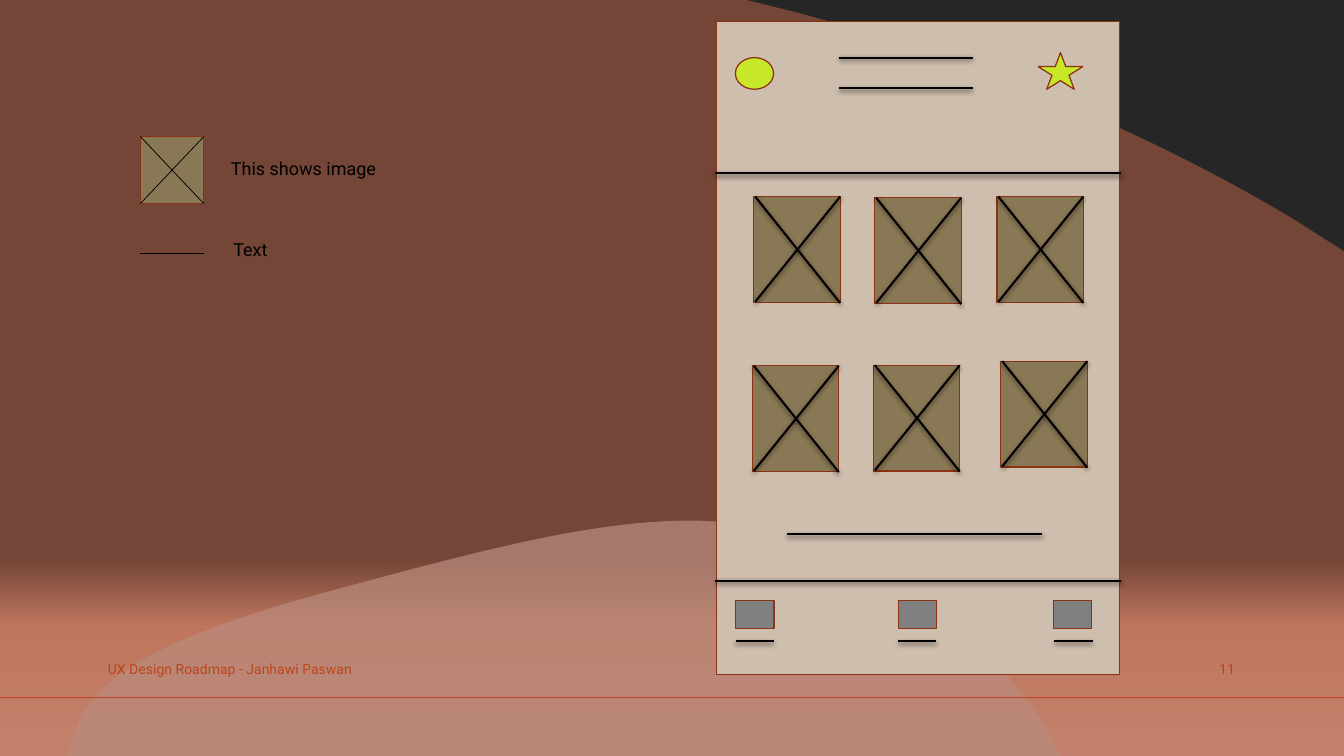
"""Build a wireframe slide with a legend beside a phone screen layout."""
from lxml import etree
from pptx import Presentation
from pptx.dml.color import RGBColor
from pptx.enum.shapes import MSO_CONNECTOR, MSO_SHAPE
from pptx.enum.text import MSO_ANCHOR, PP_ALIGN
from pptx.oxml.ns import qn
from pptx.util import Pt

RECT, OVAL, STAR = MSO_SHAPE.RECTANGLE, MSO_SHAPE.OVAL, MSO_SHAPE.STAR_5_POINT
PROCESS = MSO_SHAPE.FLOWCHART_PROCESS
STRAIGHT = MSO_CONNECTOR.STRAIGHT
TOP, MIDDLE = MSO_ANCHOR.TOP, MSO_ANCHOR.MIDDLE
LEFT, RIGHT = PP_ALIGN.LEFT, PP_ALIGN.RIGHT

BLACK = RGBColor(0x00, 0x00, 0x00)
RUST = RGBColor(0xBC, 0x45, 0x1B)
OUTLINE = RGBColor(0x8B, 0x33, 0x14)
PAPER = RGBColor(0xCE, 0xBE, 0xAD)
OLIVE = RGBColor(0x89, 0x78, 0x55)
LIME = RGBColor(0xC7, 0xE7, 0x29)
GRAY = RGBColor(0x80, 0x80, 0x80)
PALE = RGBColor(0xDA, 0xDA, 0xDA)
CLAY = RGBColor(0xA5, 0x5A, 0x43)

FONT = "Roboto"
WIDTH, HEIGHT = 1344, 756
BASELINE_Y = 697.3
BACKGROUND = [(0, "262626"), (74, "262626"), (83, "EEA58B"), (100, "F4C3B2")]

HILL = [
    [(690.5, 520.6)],
    [(750.2, 521.3), (805.7, 532.8), (861.8, 559.4)],
    [(937.4, 596.9), (986.4, 648.7), (1013.8, 683.3)],
    [(1027.4, 699.8), (1044.7, 722.9), (1057.7, 751)],
    [(1059.8, 756)], [(68.4, 756)], [(69.8, 748.1)],
    [(71.3, 740.9), (73.4, 734.4), (76.3, 727.9)],
    [(93.6, 685.4), (136.1, 643.7), (324.7, 592.6)],
    [(476.6, 551.5), (590.4, 520.6), (690.5, 520.6)],
]
VEIL = [
    [(0, 0)], [(746.6, 0)], [(795.6, 12.2)],
    [(980.6, 61.9), (1150.6, 133.2), (1295.3, 220.3)],
    [(1344, 251.3)], [(1344, 756)], [(0, 756)],
]

SCREEN = (716.4, 21.6, 403.2, 653)
ICONS = [(OVAL, 735.4, 57.6, 38.2, 31.7), (STAR, 1038.2, 52.6, 44.6, 36.7)]
TILE_W, TILE_H = 86.4, 105.8
TILES = [(753.8, 196.6), (874.8, 197.8), (997, 196.6),
         (752.4, 365.8), (873.4, 365.2), (1000.8, 361.2)]
RULES = [(715.4, 1121.2, 173.5), (715.4, 1121.2, 580.6), (839.3, 972.7, 57.6),
         (839.3, 972.7, 88.2), (786.8, 1042.2, 534.2)]
TAB_W, TAB_H, TAB_Y, TAB_RULE_Y = 38.2, 28.1, 600.2, 641.5
TABS = [(735.8, 735.6), (898.6, 898.3), (1053.4, 1054.5)]

LEGEND_X, LEGEND_Y, LEGEND_W, LEGEND_H, LEGEND_RULE_Y = 140.4, 136.6, 63.4, 67, 252.9
LABELS = [("This shows image", (223.9, 154.1, 191.5, 28.8)),
          ("Text", (226.3, 234.7, 89.3, 36.7))]
FOOTERS = [("UX Design Roadmap - Janhawi Paswan", (100.8, 648.7, 735.8, 40.3), LEFT),
           ("11", (1159.2, 648.7, 82.8, 40.3), RIGHT)]


def paint_background(s):
    fill = s.background.fill
    fill.gradient()
    fill.gradient_angle = 270
    stops = s.element.xpath(".//a:gsLst")[0]
    for stop in list(stops):
        stops.remove(stop)
    for pos, color in BACKGROUND:
        stop = etree.SubElement(stops, qn("a:gs"), pos=str(pos * 1000))
        etree.SubElement(stop, qn("a:srgbClr"), val=color)


def bend_sides(sp, steps):
    sides = sp._element.xpath(".//a:lnTo")
    for step in steps[1:]:
        group, sides = sides[:len(step)], sides[len(step):]
        if len(step) == 3:
            curve = etree.Element(qn("a:cubicBezTo"))
            group[0].addprevious(curve)
            for side in group:
                curve.append(side[0])
                side.getparent().remove(side)


def add_outline(s, steps, color, opacity):
    points = [(Pt(x), Pt(y)) for step in steps for x, y in step]
    builder = s.shapes.build_freeform(*points[0], scale=1.0)
    builder.add_line_segments(points[1:], close=True)
    sp = builder.convert_to_shape()
    bend_sides(sp, steps)
    sp.shadow.inherit = False
    sp.line.fill.background()
    sp.fill.solid()
    sp.fill.fore_color.rgb = color
    clr = sp._element.spPr.find(qn("a:solidFill"))[0]
    etree.SubElement(clr, qn("a:alpha"), val=str(opacity * 1000))


def add_box(s, kind, box, color):
    sp = s.shapes.add_shape(kind, *map(Pt, box))
    sp.shadow.inherit = False
    sp.fill.solid()
    sp.fill.fore_color.rgb = color
    sp.line.color.rgb = OUTLINE
    sp.line.width = Pt(1.25)


def add_line(s, x1, y1, x2, y2, color=BLACK, width=2, shadow=True):
    line = s.shapes.add_connector(STRAIGHT, Pt(x1), Pt(y1), Pt(x2), Pt(y2))
    line.line.color.rgb = color
    line.line.width = Pt(width)
    effects = etree.SubElement(line._element.spPr, qn("a:effectLst"))
    if shadow:
        shade = etree.SubElement(effects, qn("a:outerShdw"), blurRad=str(Pt(5)),
                                 dist=str(Pt(2)), dir="5400000", rotWithShape="0")
        clr = etree.SubElement(shade, qn("a:srgbClr"), val=str(BLACK))
        etree.SubElement(clr, qn("a:alpha"), val="60000")


def add_image_mark(s, x, y, w, h, inset=0, drop=0, **line_format):
    add_box(s, RECT, (x, y, w, h), OLIVE)
    add_line(s, x + inset, y, x + w, y + h + drop, **line_format)
    add_line(s, x + w, y, x + inset, y + h - drop, **line_format)


def add_text(s, text, box, size=18, color=BLACK, align=LEFT, anchor=TOP):
    tf = s.shapes.add_textbox(*map(Pt, box)).text_frame
    tf.word_wrap = True
    tf.vertical_anchor = anchor
    p = tf.paragraphs[0]
    p.alignment = align
    r = p.add_run()
    r.text = text
    r.font.name = FONT
    r.font.size = Pt(size)
    r.font.color.rgb = color


def main():
    prs = Presentation()
    prs.slide_width, prs.slide_height = Pt(WIDTH), Pt(HEIGHT)
    s = prs.slides.add_slide(prs.slide_layouts[6])

    paint_background(s)
    add_outline(s, HILL, PALE, 73)
    add_outline(s, VEIL, CLAY, 62)
    add_line(s, 0, BASELINE_Y, WIDTH, BASELINE_Y, color=RUST, width=1.25, shadow=False)

    add_box(s, RECT, SCREEN, PAPER)
    for kind, *box in ICONS:
        add_box(s, kind, box, LIME)
    for x, y in TILES:
        add_image_mark(s, x, y, TILE_W, TILE_H, inset=1.4, drop=0.6)
    for x1, x2, y in RULES:
        add_line(s, x1, y, x2, y)
    for x, rule_x in TABS:
        add_box(s, PROCESS, (x, TAB_Y, TAB_W, TAB_H), GRAY)
        add_line(s, rule_x, TAB_RULE_Y, rule_x + TAB_W, TAB_RULE_Y)

    add_image_mark(s, LEGEND_X, LEGEND_Y, LEGEND_W, LEGEND_H, width=0.75, shadow=False)
    add_line(s, LEGEND_X, LEGEND_RULE_Y, LEGEND_X + LEGEND_W, LEGEND_RULE_Y,
             width=0.75, shadow=False)
    for text, box in LABELS:
        add_text(s, text, box)
    for text, box, align in FOOTERS:
        add_text(s, text, box, size=14, color=RUST, align=align, anchor=MIDDLE)

    prs.save("out.pptx")


if __name__ == "__main__":
    main()
